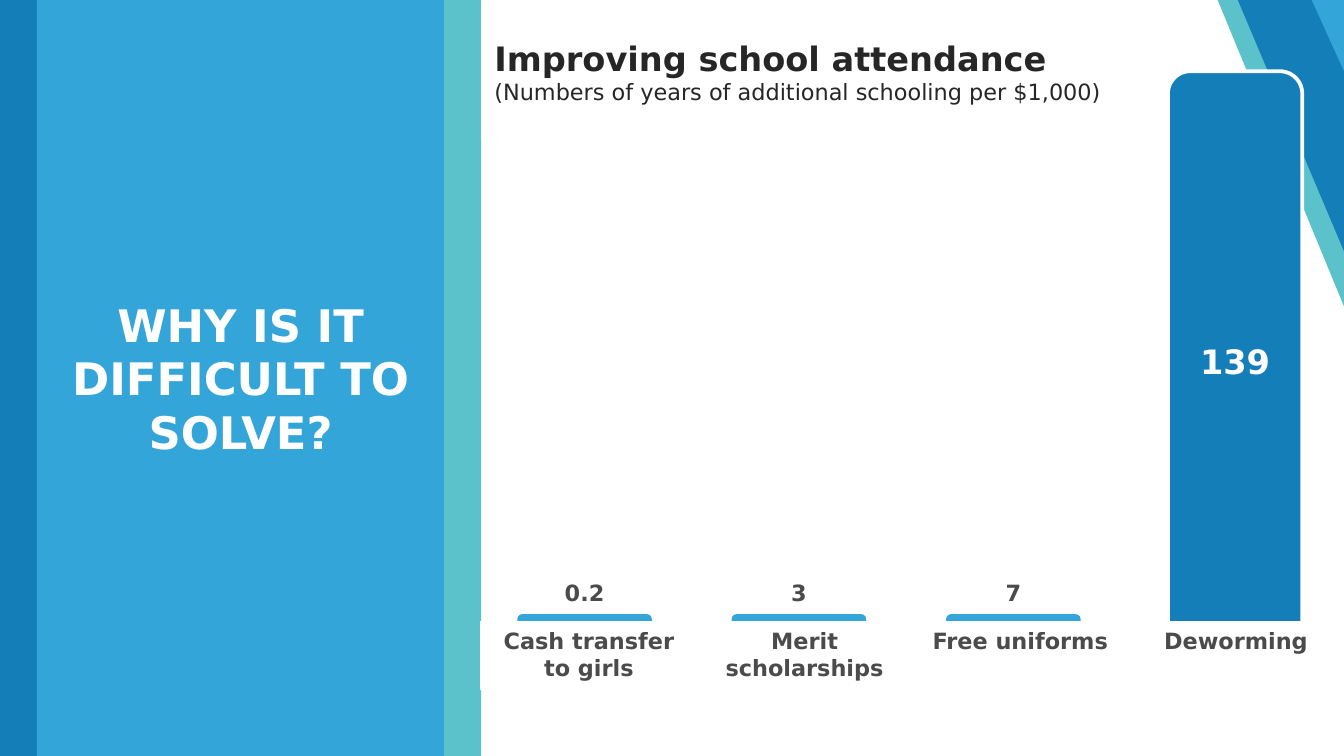
"""Build a slide comparing the school attendance gained per $1,000 spent."""
from dataclasses import dataclass

from pptx import Presentation
from pptx import util as u
from pptx.dml.color import RGBColor
from pptx.enum import shapes, text

COLUMNS, ROWS = 100, 56.25


@dataclass(frozen=True)
class Theme:
    """Colours, font and type sizes of the slide."""
    deep: str = "147EB9"
    sky: str = "33A5D8"
    teal: str = "5BC2CC"
    white: str = "FFFFFF"
    ink: str = "262626"
    grey: str = "4B4B4B"
    font: str = "DejaVu Sans"
    title: int = 24
    heading: int = 18
    label: int = 12


def write(paragraph, words, *, size, color, font, bold=True, align=text.PP_ALIGN.LEFT):
    """Put formatted words in a paragraph."""
    paragraph.alignment = align
    run = paragraph.add_run()
    run.text = words
    run.font.name, run.font.size, run.font.bold = font, u.Pt(size), bold
    run.font.color.rgb = RGBColor.from_string(color)


class Deck:
    """Holds the theme and the current slide, measured in grid columns and rows."""

    def __init__(self, theme):
        """Start a presentation with one title-only slide."""
        self.theme = theme
        self.show = Presentation()
        self.show.slide_width, self.show.slide_height = u.Inches(10), u.Inches(5.625)
        self.slide = self.show.slides.add_slide(self.show.slide_layouts[5])

    def place(self, left, top, width, height):
        """Turn grid units into slide lengths."""
        column, row = self.show.slide_width / COLUMNS, self.show.slide_height / ROWS
        return [u.Emu(round(n)) for n in (left * column, top * row, width * column, height * row)]

    def shape(self, preset, box, fill, outline=None, parent=None):
        """Add a filled preset shape."""
        part = (parent or self.slide).shapes.add_shape(preset, *self.place(*box))
        part.shadow.inherit = False
        part.fill.solid()
        part.fill.fore_color.rgb = RGBColor.from_string(fill)
        if outline:
            part.line.color.rgb = RGBColor.from_string(outline)
            part.line.width = u.Pt(2)
        else:
            part.line.fill.background()
        return part

    def title(self, words, box):
        """Move the title placeholder to the front and fill it."""
        title = self.slide.shapes.title
        title.element.getparent().append(title.element)
        title.left, title.top, title.width, title.height = self.place(*box)
        frame = title.text_frame
        frame.margin_left = frame.margin_right = frame.margin_top = frame.margin_bottom = 0
        frame.vertical_anchor = text.MSO_ANCHOR.MIDDLE
        frame.auto_size = text.MSO_AUTO_SIZE.NONE
        frame.word_wrap = True
        write(frame.paragraphs[0], words, size=self.theme.title, color=self.theme.white,
              font=self.theme.font, align=text.PP_ALIGN.CENTER)

    def corner(self, ribbons):
        """Group right triangles that hang from the top right corner."""
        group = self.slide.shapes.add_group_shape()
        for width, height, fill in ribbons:
            ribbon = self.shape(shapes.MSO_SHAPE.RIGHT_TRIANGLE,
                                (COLUMNS - width, 0, width, height), fill, parent=group)
            ribbon.rotation = 180

    def heading(self, headline, unit, box):
        """Add the chart heading with its unit line."""
        frame = self.shape(shapes.MSO_SHAPE.RECTANGLE, box, self.theme.white).text_frame
        frame.word_wrap = True
        frame.vertical_anchor = text.MSO_ANCHOR.MIDDLE
        style = {"color": self.theme.ink, "font": self.theme.font}
        write(frame.paragraphs[0], headline, size=self.theme.heading, **style)
        write(frame.add_paragraph(), unit, size=self.theme.label, bold=False, **style)

    def value(self, words, center, top, width, height, size, color):
        """Add a value label centred on its bar."""
        box = self.place(center - width / 2, top, width, height)
        frame = self.slide.shapes.add_textbox(*box).text_frame
        frame.word_wrap = False
        frame.auto_size = text.MSO_AUTO_SIZE.SHAPE_TO_FIT_TEXT
        write(frame.paragraphs[0], words, size=size, color=color, font=self.theme.font,
              align=text.PP_ALIGN.CENTER)

    def categories(self, names, box):
        """Add the one-row table of category names."""
        table = self.slide.shapes.add_table(1, len(names), *self.place(*box)).table
        table.first_row = table.horz_banding = False
        for cell, name in zip(table.rows[0].cells, names):
            cell.fill.solid()
            cell.fill.fore_color.rgb = RGBColor.from_string(self.theme.white)
            write(cell.text_frame.paragraphs[0], name, size=self.theme.label,
                  color=self.theme.grey, font=self.theme.font, align=text.PP_ALIGN.CENTER)


def main():
    """Compose and save the slide."""
    theme = Theme()
    deck = Deck(theme)
    rounded = shapes.MSO_SHAPE.ROUNDED_RECTANGLE
    bar_width, first_bar, bar_step, last_bar = 10, 38.5, 15.95, 86.9
    panel_left, panel_width, chart_left = 2.75, 30.3, 35.8
    small_values = (("0.2", 5), ("3", 3.2), ("7", 3.2))

    for i in range(len(small_values)):
        deck.shape(rounded, (first_bar + i * bar_step, 45.7, bar_width, 2.1), theme.sky)
    for left, width, fill in ((0, panel_left, theme.deep),
                              (panel_left, panel_width, theme.sky),
                              (panel_left + panel_width, 2.75, theme.teal)):
        deck.shape(shapes.MSO_SHAPE.RECTANGLE, (left, 0, width, ROWS), fill)
    deck.title("WHY IS IT DIFFICULT TO SOLVE?", (panel_left, 0, panel_width, ROWS))
    deck.corner(((9.4, 22.8, theme.teal), (7.9, 18.7, theme.deep), (2.4, 5.3, theme.sky)))
    deck.heading("Improving school attendance",
                 "(Numbers of years of additional schooling per $1,000)",
                 (chart_left, 0.3, 54.8, 10))
    for i, (value, width) in enumerate(small_values):
        deck.value(value, first_bar + i * bar_step + bar_width / 2, 42.6, width, 3,
                   theme.label, theme.grey)
    deck.shape(rounded, (last_bar, 5.3, bar_width, 43.2), theme.deep, outline=theme.white)
    deck.value("139", last_bar + bar_width / 2, 24.9, 7.4, 4, theme.heading, theme.white)
    deck.categories(("Cash transfer to girls", "Merit scholarships", "Free uniforms", "Deworming"),
                    (chart_left, 46.3, COLUMNS - chart_left, 4.1))
    deck.show.save("out.pptx")


if __name__ == "__main__":
    main()
